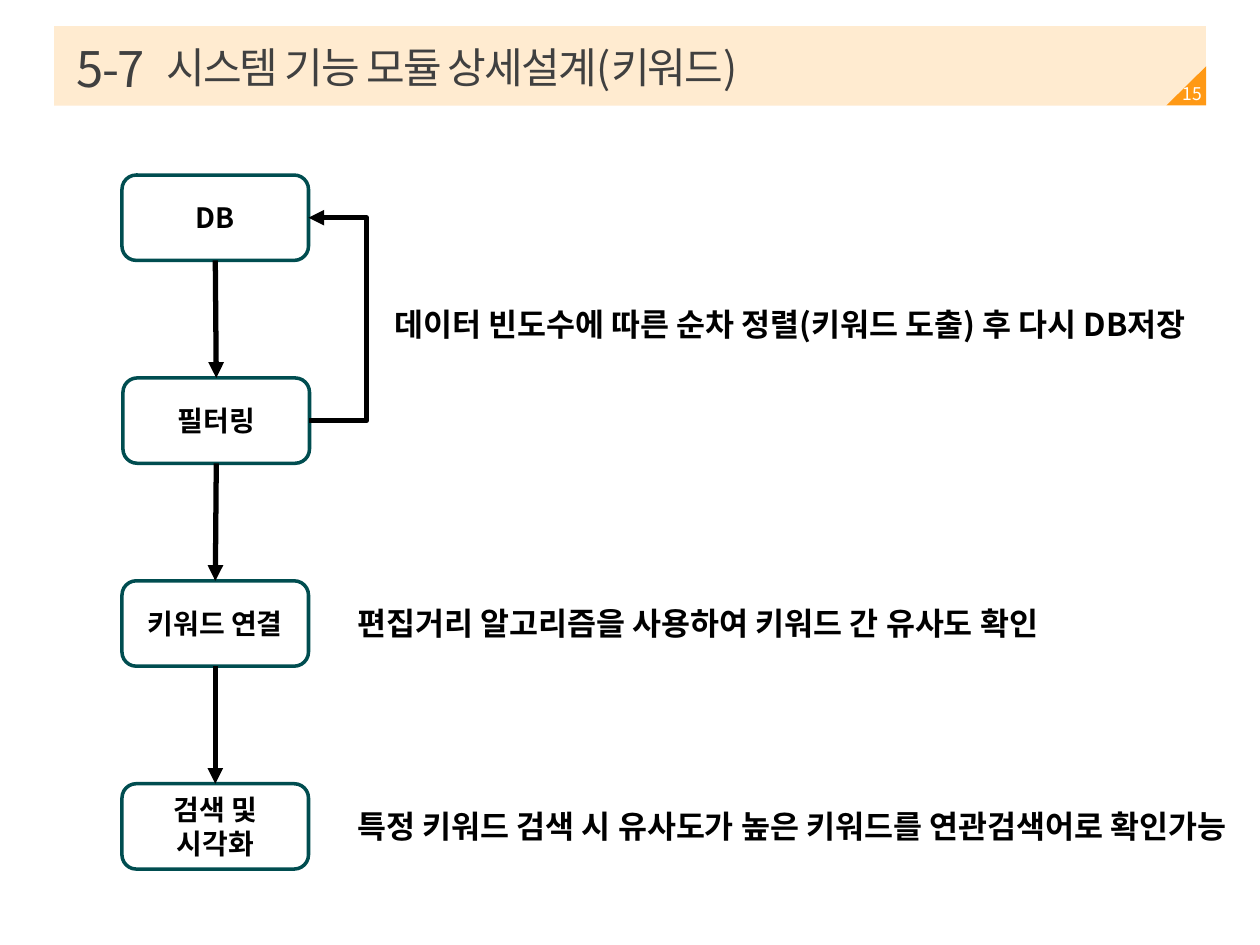
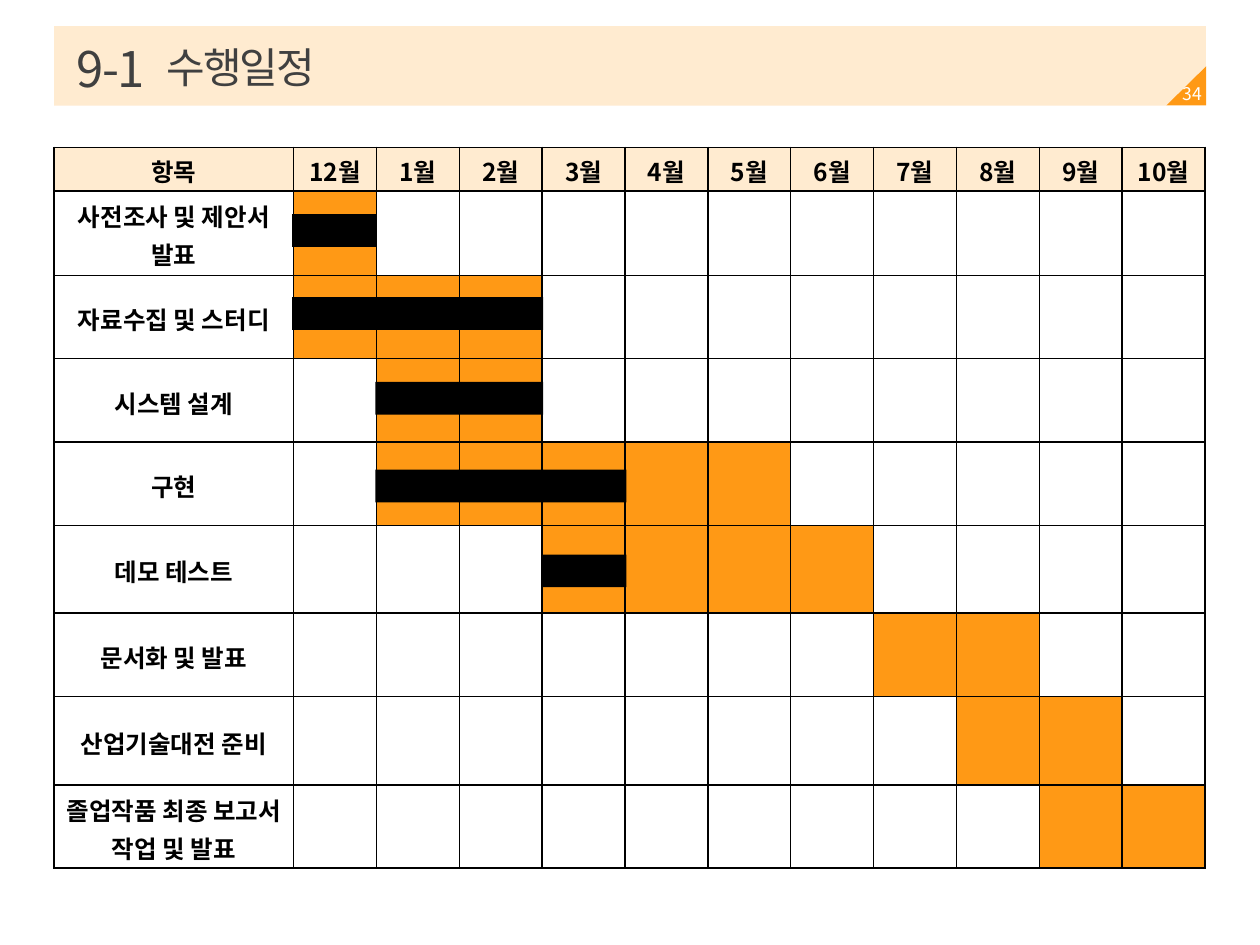
from dataclasses import dataclass
from itertools import accumulate, pairwise

from lxml.etree import SubElement
from pptx import Presentation
from pptx.dml.color import RGBColor
from pptx.enum.shapes import MSO_CONNECTOR as Wire, MSO_SHAPE as Kind
from pptx.enum.text import MSO_ANCHOR as Anchor, PP_ALIGN as Align
from pptx.oxml.ns import qn
from pptx.util import Cm, Pt

FONT = "Noto Sans CJK KR"
COLORS = {
    "orange": "FF9915",
    "sand": "FFEBD0",
    "white": "FFFFFF",
    "black": "000000",
    "gray": "404040",
    "teal": "004D50",
}
BOTTOM, TOP, RIGHT = 2, 0, 3  # connection sites
LEFT, WIDTH = 1.09, 23.22  # band and table, cm


@dataclass(frozen=True)
class Area:
    """A rectangle in centimetres."""
    x: float
    y: float
    w: float
    h: float

    def cm(self) -> list:
        return [Cm(v) for v in (self.x, self.y, self.w, self.h)]


@dataclass(frozen=True)
class Step:
    label: str
    x: float


@dataclass(frozen=True)
class Note:
    text: str
    area: Area


@dataclass(frozen=True)
class Task:
    """A schedule row: planned months from first, finished months, bar top."""
    name: str
    height: float
    first: int
    count: int
    done: int = 0
    bar: float = 0


STEPS = [
    Step("DB", 2.46),
    Step("필터링", 2.48),
    Step("키워드 연결", 2.46),
    Step("검색 및\n시각화", 2.46),
]
STEP_TOP, STEP_GAP, STEP_W, STEP_H = 3.53, 4.09, 3.76, 1.72
LOOP_REACH = 1.15

NOTES = [
    Note("데이터 빈도수에 따른 순차 정렬(키워드 도출) 후 다시 DB저장",
         Area(7.7, 6.02, 17.09, 1.02)),
    Note("편집거리 알고리즘을 사용하여 키워드 간 유사도 확인",
         Area(6.96, 12.06, 14.94, 1.02)),
    Note("특정 키워드 검색 시 유사도가 높은 키워드를 연관검색어로 확인가능",
         Area(6.96, 16.15, 18.67, 1.02)),
]

MONTHS = [f"{m}월" for m in (12, *range(1, 11))]
TASKS = [
    Task("사전조사 및 제안서 발표", 1.7, 0, 1, 1, 4.32),
    Task("자료수집 및 스터디", 1.68, 0, 3, 3, 5.99),
    Task("시스템 설계", 1.68, 1, 2, 2, 7.7),
    Task("구현", 1.68, 1, 5, 3, 9.47),
    Task("데모 테스트", 1.77, 3, 4, 1, 11.18),
    Task("문서화 및 발표", 1.68, 7, 2),
    Task("산업기술대전 준비", 1.78, 8, 2),
    Task("졸업작품 최종 보고서 작업 및 발표", 1.68, 9, 2),
]
HEAD_H, NAME_W, MONTH_W = 0.88, 4.83, 1.67
BAR_LEFT, BAR_STEP, BAR_W, BAR_H = 5.89, 1.68, 1.7, 0.66


def color(name: str) -> RGBColor:
    return RGBColor.from_string(COLORS[name])


def write(frame, text: str, *, size: float, tint: str = "black",
          bold: bool = False, align=Align.LEFT, space: int = 0,
          line: float | None = None, after: float | None = None) -> None:
    """Fill a text frame, one paragraph per line of text."""
    for i, part in enumerate(text.split("\n")):
        para = frame.add_paragraph() if i else frame.paragraphs[0]
        para.alignment = align
        if line:
            para.line_spacing = line
        if after:
            para.space_after = Pt(after)
        run = para.add_run()
        run.text = part
        font = run.font
        font.size, font.bold = Pt(size), bold
        font.color.rgb = color(tint)
        font.name = FONT
        props = run._r.get_or_add_rPr()
        SubElement(props, qn("a:ea")).set("typeface", FONT)
        if space:
            props.set("spc", str(space))


def label(slide, text: str, area: Area, *, anchor=Anchor.TOP, **style) -> None:
    frame = slide.shapes.add_textbox(*area.cm()).text_frame
    frame.word_wrap = True
    frame.vertical_anchor = anchor
    write(frame, text, **style)


def block(shapes, kind, area: Area, fill: str | None, edge: str | None = None):
    shape = shapes.add_shape(kind, *area.cm())
    shape.shadow.inherit = False
    if fill:
        shape.fill.solid()
        shape.fill.fore_color.rgb = color(fill)
    else:
        shape.fill.background()
    if edge:
        shape.line.color.rgb = color(edge)
        shape.line.width = Pt(2)
    else:
        shape.line.fill.background()
    return shape


def arrow(slide, kind, start, site: int, end, goal: int):
    wire = slide.shapes.add_connector(kind, 0, 0, 0, 0)
    wire.begin_connect(start, site)
    wire.end_connect(end, goal)
    wire.line.color.rgb = color("black")
    wire.line.width = Pt(3)
    props = wire.element.spPr
    SubElement(props.find(qn("a:ln")), qn("a:tailEnd")).set("type", "triangle")
    SubElement(props, qn("a:effectLst"))
    return wire


def bend(wire, reach: float) -> None:
    """Push the elbow's middle leg out to the right of its start."""
    rules = wire.element.spPr.find(qn("a:prstGeom")).get_or_add_avLst()
    guide = SubElement(rules, qn("a:gd"))
    guide.set("name", "adj1")
    guide.set("fmla", f"val {-round(Cm(reach) / wire.width * 100000)}")


def start_slide(deck, number: str, title: str, page: int):
    """Add a slide with the title band and the page corner."""
    slide = deck.slides.add_slide(deck.slide_layouts[6])
    shapes = slide.shapes
    block(shapes, Kind.RECTANGLE, Area(LEFT, 0.53, WIDTH, 1.6), "sand")
    for area, fill in ((Area(23.5, 1.34, 0.81, 0.81), "white"),
                       (Area(23.52, 1.33, 0.79, 0.8), "orange")):
        block(shapes, Kind.RIGHT_TRIANGLE, area, fill).rotation = 270
    for text, area, size in ((title, Area(3.1, 0.64, 17.4, 1.4), 24),
                             (number, Area(1.3, 0.66, 2.01, 1.4), 28)):
        label(slide, text, area, anchor=Anchor.MIDDLE, size=size,
              tint="gray", space=-100)
    label(slide, str(page), Area(23.55, 1.52, 0.97, 0.74),
          anchor=Anchor.MIDDLE, size=10, tint="white", align=Align.CENTER)
    return slide


def draw_flow(deck) -> None:
    slide = start_slide(deck, "5-7", "시스템 기능 모듈 상세설계(키워드)", 15)
    boxes = []
    for i, step in enumerate(STEPS):
        area = Area(step.x, STEP_TOP + i * STEP_GAP, STEP_W, STEP_H)
        box = block(slide.shapes, Kind.ROUNDED_RECTANGLE, area, None, "teal")
        box.text_frame.vertical_anchor = Anchor.MIDDLE
        write(box.text_frame, step.label, size=16, bold=True,
              align=Align.CENTER)
        boxes.append(box)
    for note in NOTES:
        label(slide, note.text, note.area, size=18, bold=True)
    for upper, lower in pairwise(boxes):
        arrow(slide, Wire.STRAIGHT, upper, BOTTOM, lower, TOP)
    loop = arrow(slide, Wire.ELBOW, boxes[1], RIGHT, boxes[0], RIGHT)
    bend(loop, LOOP_REACH)


def dress(cell, text: str, fill: str | None) -> None:
    """Give a cell its borders, fill and text."""
    props = cell._tc.get_or_add_tcPr()
    for side in "LRTB":
        edge = SubElement(props, qn(f"a:ln{side}"), w=str(Pt(1)))
        paint = SubElement(edge, qn("a:solidFill"))
        SubElement(paint, qn("a:srgbClr")).set("val", COLORS["black"])
    if fill:
        cell.fill.solid()
        cell.fill.fore_color.rgb = color(fill)
    else:
        cell.fill.background()
    if text:
        cell.vertical_anchor = Anchor.MIDDLE
        cell.margin_left = cell.margin_right = Cm(0.18)
        cell.margin_top, cell.margin_bottom = Cm(0.03), 0
        write(cell.text_frame, text, size=14, bold=True,
              align=Align.CENTER, line=1.07, after=8)


def draw_plan(deck) -> None:
    slide = start_slide(deck, "9-1", "수행일정", 34)
    heights = [HEAD_H, *(task.height for task in TASKS)]
    widths = [NAME_W] + [MONTH_W] * len(MONTHS)
    *_, total = accumulate(heights)
    area = Area(LEFT, 2.97, sum(widths), total)
    table = slide.shapes.add_table(len(heights), len(widths),
                                   *area.cm()).table
    table.first_row = table.horz_banding = False
    for row, height in zip(table.rows, heights):
        row.height = Cm(height)
    for col, width in zip(table.columns, widths):
        col.width = Cm(width)

    for c, text in enumerate(["항목", *MONTHS]):
        dress(table.cell(0, c), text, "sand")
    bars = slide.shapes.add_group_shape().shapes
    for r, task in enumerate(TASKS, 1):
        dress(table.cell(r, 0), task.name, None)
        planned = range(task.first, task.first + task.count)
        for m in range(len(MONTHS)):
            dress(table.cell(r, m + 1), "", "orange" if m in planned else None)
        for m in planned[:task.done]:
            spot = Area(BAR_LEFT + m * BAR_STEP, task.bar, BAR_W, BAR_H)
            block(bars, Kind.RECTANGLE, spot, "black")


def main() -> None:
    deck = Presentation()
    deck.slide_width, deck.slide_height = Cm(25.4), Cm(19.05)
    draw_flow(deck)
    draw_plan(deck)
    deck.save("out.pptx")


if __name__ == "__main__":
    main()
